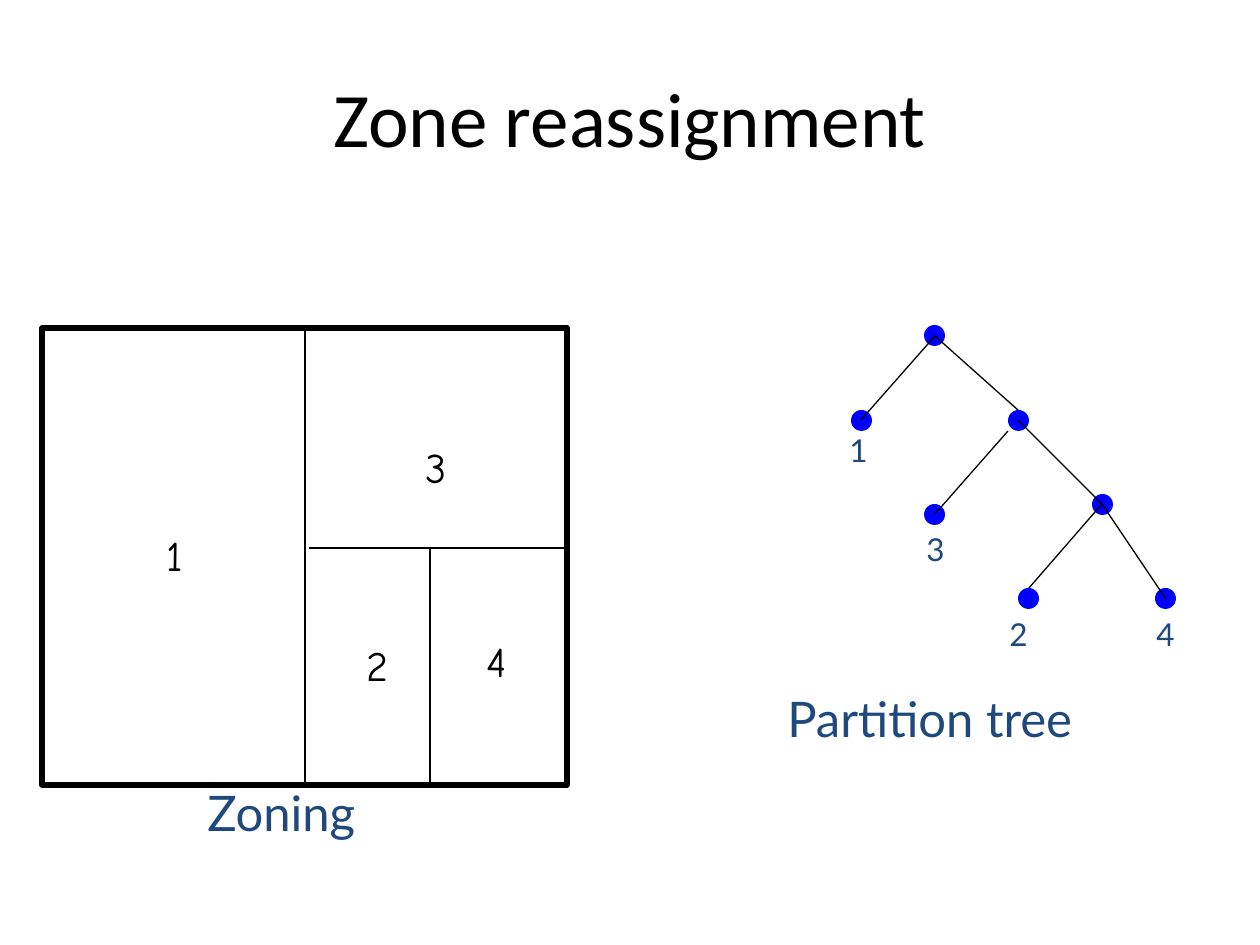
"""Builds the zone reassignment slide: a zoning square beside its partition tree."""
import pptx
import pptx.dml.color
import pptx.enum.shapes
import pptx.enum.text
import pptx.oxml.ns
import pptx.util

EMU_PER_PX = 914400 / 126
ANCHOR = pptx.enum.text.MSO_ANCHOR
ALIGN = pptx.enum.text.PP_ALIGN
SHAPE = pptx.enum.shapes.MSO_SHAPE
RGB = pptx.dml.color.RGBColor.from_string
THEME = {
    "ink": RGB("000000"),
    "node": RGB("0000FF"),
    "title": {"name": "Calibri", "size": pptx.util.Pt(44), "color": RGB("000000")},
    "zone": {"name": "Comic Neue", "size": pptx.util.Pt(24), "color": RGB("000000")},
    "leaf": {"name": "Lato", "size": pptx.util.Pt(18), "color": RGB("1F497D")},
    "caption": {"name": "Lato", "size": pptx.util.Pt(28), "color": RGB("1F497D")},
    "border": pptx.util.Pt(3),
    "hairline": pptx.util.Pt(0.75),
}


def px(*lengths):
    return [pptx.util.Emu(round(length * EMU_PER_PX)) for length in lengths]


def add_text(words, box, style, anchor, align=ALIGN.LEFT):
    frame = slide.shapes.add_textbox(*px(*box)).text_frame
    for key, value in {"word_wrap": True, "vertical_anchor": anchor}.items():
        setattr(frame, key, value)
    line = frame.paragraphs[0]
    line.text = words
    line.alignment = align
    for key, value in THEME[style].items():
        if key == "color":
            line.font.color.rgb = value
        else:
            setattr(line.font, key, value)


deck = pptx.Presentation()
deck.slide_width, deck.slide_height = px(1260, 945)
slide = deck.slides.add_slide(deck.slide_layouts[6])

add_text("Zone reassignment", (63, 38, 1134, 158), "title", ANCHOR.MIDDLE, ALIGN.CENTER)

zoning = slide.shapes.add_shape(SHAPE.RECTANGLE, *px(42, 328, 525, 457))
zoning.shadow.inherit = False
zoning.fill.background()
zoning.line.color.rgb = THEME["ink"]
zoning.line.width = THEME["border"]

for zone, left, top in [("1", 154, 523), ("2", 354, 633), ("3", 413, 435), ("4", 474, 629)]:
    add_text(zone, (left, top, 47, 63), "zone", ANCHOR.TOP)

NODE = 21
for left, top in [(924, 325), (924, 504), (1008, 410), (1092, 494),
                  (1018, 588), (1155, 588), (851, 410)]:
    node = slide.shapes.add_shape(SHAPE.OVAL, *px(left, top, NODE, NODE))
    node.shadow.inherit = False
    node.fill.solid()
    node.fill.fore_color.rgb = THEME["node"]
    node.line.fill.background()

borders = [(305, 325, 305, 788), (309, 548, 567, 548), (430, 548, 430, 785)]
branches = [
    (935, 336, 861, 420), (935, 336, 1018, 410), (1102, 504, 1166, 599),
    (1018, 420, 1102, 504), (1008, 431, 935, 514), (1102, 504, 1029, 588),
]
for ends in borders + branches:
    edge = slide.shapes.add_connector(pptx.enum.shapes.MSO_CONNECTOR.STRAIGHT, *px(*ends))
    edge.line.color.rgb = THEME["ink"]
    edge.line.width = THEME["hairline"]
    properties = edge.element.spPr
    properties.append(properties.makeelement(pptx.oxml.ns.qn("a:effectLst"), {}))

for leaf, left, top in [("1", 837, 425), ("3", 914, 524), ("2", 997, 609), ("4", 1144, 609)]:
    add_text(leaf, (left, top, 44, 50), "leaf", ANCHOR.BOTTOM)

add_text("Zoning", (195, 776, 202, 72), "caption", ANCHOR.BOTTOM)
add_text("Partition tree", (775, 682, 437, 72), "caption", ANCHOR.BOTTOM)

deck.save("out.pptx")
